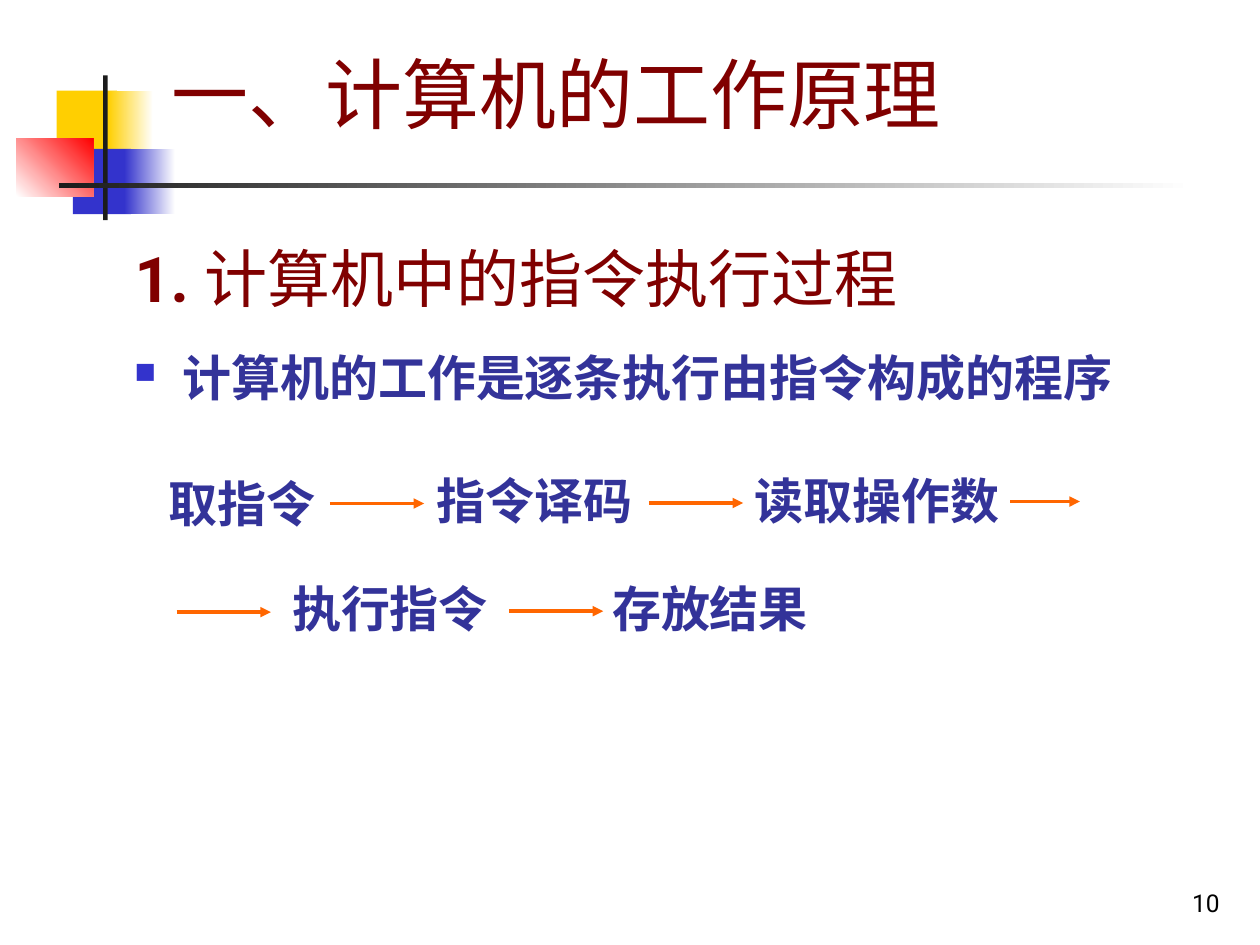
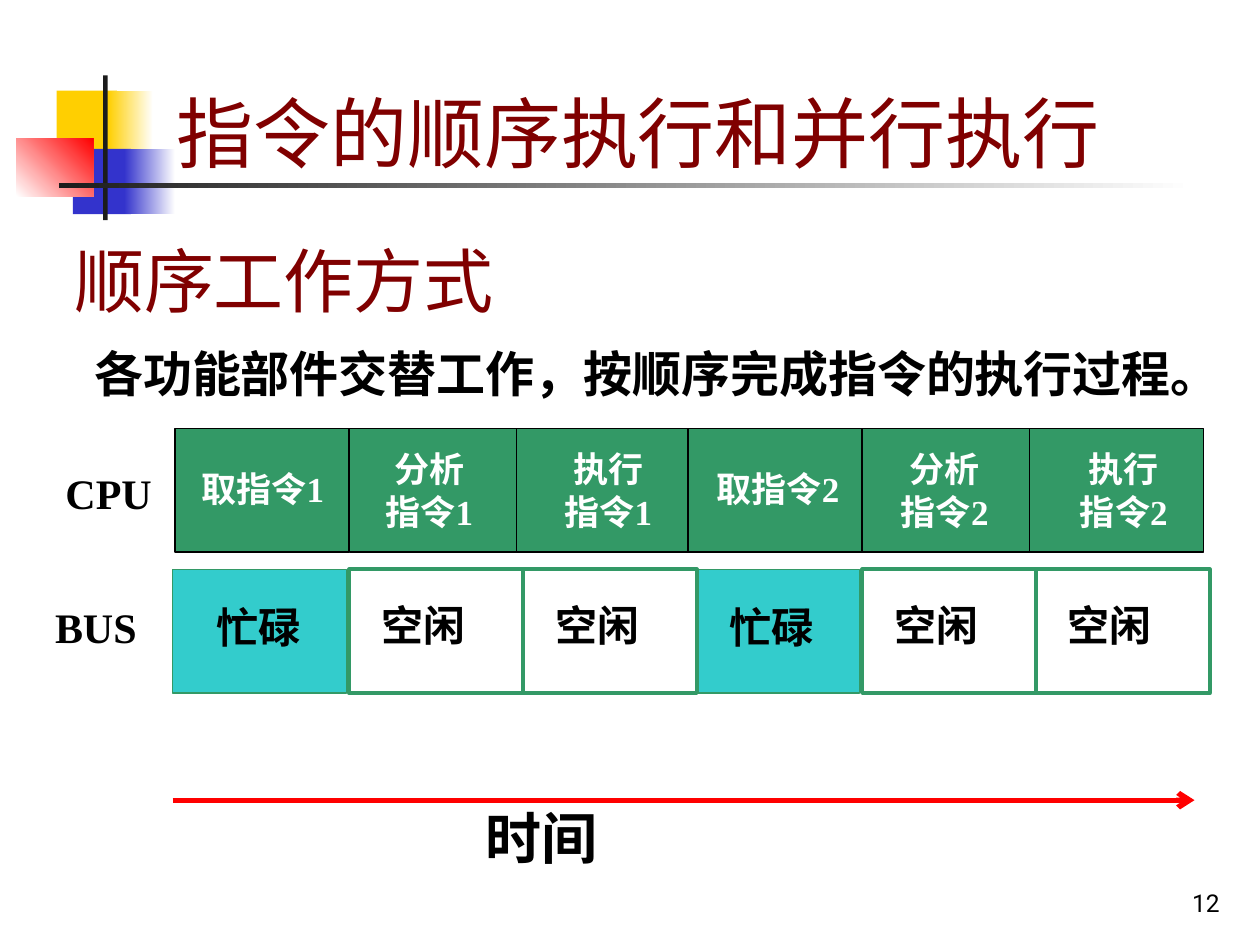
"""Build two slides on how a computer executes its instructions."""

from dataclasses import dataclass
from typing import Optional

from lxml.etree import SubElement
from pptx import Presentation
from pptx.dml.color import RGBColor
from pptx.enum.shapes import MSO_CONNECTOR, MSO_SHAPE
from pptx.enum.text import MSO_ANCHOR, MSO_AUTO_SIZE, PP_ALIGN
from pptx.oxml.ns import qn
from pptx.shapes.autoshape import Shape
from pptx.slide import Slide, SlideLayout
from pptx.util import Cm, Pt


@dataclass(frozen=True)
class Theme:
    """Colours, fonts and type sizes of the deck."""

    maroon: str = "800000"
    navy: str = "333399"
    blue: str = "3333CC"
    yellow: str = "FFCF01"
    red: str = "FF0000"
    orange: str = "FF6600"
    green: str = "339966"
    cyan: str = "33CCCC"
    charcoal: str = "1C1C1C"
    black: str = "000000"
    white: str = "FFFFFF"
    sans: str = "Roboto"
    serif: str = "Times New Roman"
    chinese: str = "Noto Sans CJK SC"
    heading: int = 44
    subheading: int = 40
    numbered: int = 36
    axis: int = 32
    body: int = 28
    unit: int = 24
    stage: int = 20
    footer: int = 14


THEME = Theme()


@dataclass(frozen=True)
class Area:
    """A position and a size in centimetres."""

    left: float
    top: float
    width: float
    height: float

    def moved(self, distance: float) -> "Area":
        """Return the area shifted to the right."""
        return Area(self.left + distance, self.top, self.width, self.height)


@dataclass(frozen=True)
class Style:
    """The look of a piece of text."""

    size: int
    color: str
    font: str = THEME.serif
    bold: bool = True
    align: PP_ALIGN = PP_ALIGN.LEFT
    anchor: MSO_ANCHOR = MSO_ANCHOR.TOP
    line_spacing: float = 1.0
    space_before: int = 0
    margin: float = 0
    bullet: str = ""


@dataclass(frozen=True)
class Block:
    """A rectangle with a plain or fading fill."""

    area: Area
    color: str
    fade_to: Optional[str] = None
    angle: int = 0
    border: Optional[str] = None
    border_width: float = 0.75


@dataclass(frozen=True)
class Arrow:
    """A horizontal arrow in centimetres."""

    left: float
    top: float
    length: float
    color: str = THEME.orange
    weight: float = 2
    head: str = "triangle"


HEADING = Style(THEME.heading, THEME.maroon, THEME.chinese, False, anchor=MSO_ANCHOR.BOTTOM)
SUBHEADING = Style(THEME.subheading, THEME.maroon, THEME.chinese, False, anchor=MSO_ANCHOR.BOTTOM)
NUMBERED = Style(THEME.numbered, THEME.maroon, THEME.sans, False, anchor=MSO_ANCHOR.BOTTOM)
FOOTER = Style(THEME.footer, THEME.black, THEME.sans, False, PP_ALIGN.RIGHT, MSO_ANCHOR.BOTTOM)
BULLET = Style(THEME.body, THEME.navy, THEME.sans, line_spacing=1.1, margin=0.97, bullet="■")
STEP = Style(THEME.body, THEME.navy)
FIRST_STEP = Style(THEME.body, THEME.navy, THEME.chinese, line_spacing=1.1)
EXPLANATION = Style(THEME.body, THEME.black, line_spacing=1.15, margin=1.27)
UNIT = Style(THEME.unit, THEME.black)
FETCH = Style(THEME.stage, THEME.white)
STAGE = Style(THEME.stage, THEME.white, align=PP_ALIGN.CENTER, space_before=1)
AXIS = Style(THEME.axis, THEME.black)

MOTIF = [
    Block(Area(1.14, 1.83, 1.22, 1.32), THEME.yellow),
    Block(Area(2.18, 1.83, 0.91, 1.32), THEME.yellow, THEME.white),
    Block(Area(1.47, 3.0, 1.17, 1.32), THEME.blue),
    Block(Area(2.51, 3.0, 1.02, 1.32), THEME.blue, THEME.white),
    Block(Area(0.33, 2.79, 1.55, 1.17), THEME.white, THEME.red, 45),
    Block(Area(2.08, 1.52, 0.09, 2.92), THEME.charcoal),
    Block(Area(1.19, 3.7, 22.86, 0.09), THEME.charcoal, THEME.white),
]

STEPS = [
    ("取指令", Area(3.15, 9.3, 3.81, 1.6), FIRST_STEP),
    ("指令译码", Area(8.56, 9.37, 4.6, 1.45), STEP),
    ("读取操作数", Area(14.96, 9.37, 5.59, 1.45), STEP),
    ("执行指令", Area(5.64, 11.53, 4.6, 1.45), STEP),
    ("存放结果", Area(12.09, 11.53, 5.38, 1.45), STEP),
]
STEP_ARROWS = [
    Arrow(6.65, 10.15, 1.9),
    Arrow(13.08, 10.14, 1.9),
    Arrow(20.37, 10.11, 1.4),
    Arrow(3.56, 12.34, 1.9),
    Arrow(10.26, 12.32, 1.9),
]

CYCLE = 10.34
LABEL_CYCLE = 10.39
CELL_SIZE = (3.51, 2.49)
CPU_TOP = 8.64
BUS_TOP = 11.48
CPU_LEFTS = (3.53, 7.04, 10.41)
BUSY_LEFT = 3.48
IDLE_LEFTS = (7.04, 10.54)


def set_text(shape: Shape, text: str, style: Style) -> None:
    """Write the text into the shape and style its paragraphs."""
    frame = shape.text_frame
    frame.text = text
    frame.word_wrap = True
    frame.auto_size = MSO_AUTO_SIZE.NONE
    frame.vertical_anchor = style.anchor
    for index, paragraph in enumerate(frame.paragraphs):
        paragraph.alignment = style.align
        paragraph.line_spacing = style.line_spacing
        if index:
            paragraph.space_before = Pt(style.space_before)
    for properties in shape.element.iter(qn("a:pPr")):
        properties.set("marL", str(Cm(style.margin)))
        properties.set("indent", str(Cm(-style.margin if style.bullet else 0)))
        if style.bullet:
            bullet_color = SubElement(properties, qn("a:buClr"))
            SubElement(bullet_color, qn("a:srgbClr"), val=THEME.blue)
            SubElement(properties, qn("a:buSzPct"), val="60000")
            SubElement(properties, qn("a:buChar"), char=style.bullet)
    format_runs(shape, style)


def format_runs(shape: Shape, style: Style) -> None:
    """Give every run of the shape its font."""
    for paragraph in shape.text_frame.paragraphs:
        for run in paragraph.runs:
            run.font.size = Pt(style.size)
            run.font.bold = style.bold
            run.font.name = style.font
            run.font.color.rgb = RGBColor.from_string(style.color)
    for properties in shape.element.iter(qn("a:rPr")):
        if properties.find(qn("a:ea")) is None:
            SubElement(properties, qn("a:ea"), typeface=THEME.chinese)


def in_cm(area: Area) -> tuple[Cm, Cm, Cm, Cm]:
    """Return the area as slide lengths."""
    return Cm(area.left), Cm(area.top), Cm(area.width), Cm(area.height)


def add_text(slide: Slide, text: str, area: Area, style: Style) -> None:
    """Add a text box."""
    set_text(slide.shapes.add_textbox(*in_cm(area)), text, style)


def place_title(slide: Slide, text: str, area: Area, style: Style) -> Shape:
    """Move, fill and format the title placeholder."""
    title = slide.shapes.title
    title.left, title.top, title.width, title.height = in_cm(area)
    set_text(title, text, style)
    return title


def add_block(slide: Slide, block: Block) -> Shape:
    """Add a rectangle."""
    rectangle = slide.shapes.add_shape(MSO_SHAPE.RECTANGLE, *in_cm(block.area))
    rectangle.shadow.inherit = False
    if block.fade_to:
        rectangle.fill.gradient()
        rectangle.fill.gradient_angle = block.angle
        for stop, color in zip(rectangle.fill.gradient_stops, (block.color, block.fade_to)):
            stop.color.rgb = RGBColor.from_string(color)
    else:
        rectangle.fill.solid()
        rectangle.fill.fore_color.rgb = RGBColor.from_string(block.color)
    if block.border:
        rectangle.line.color.rgb = RGBColor.from_string(block.border)
        rectangle.line.width = Pt(block.border_width)
    else:
        rectangle.line.fill.background()
    return rectangle


def add_arrow(slide: Slide, arrow: Arrow) -> None:
    """Add a horizontal line with an arrowhead on its right end."""
    height = Cm(arrow.top)
    connector = slide.shapes.add_connector(
        MSO_CONNECTOR.STRAIGHT, Cm(arrow.left), height, Cm(arrow.left + arrow.length), height
    )
    connector.line.color.rgb = RGBColor.from_string(arrow.color)
    connector.line.width = Pt(arrow.weight)
    properties = connector.element.find(qn("p:spPr"))
    SubElement(properties.find(qn("a:ln")), qn("a:tailEnd"), type=arrow.head)
    SubElement(properties, qn("a:effectLst"))


def decorate_layout(layout: SlideLayout, slide: Slide) -> None:
    """Draw the shared motif and keep it on the layout behind the title."""
    for placeholder in list(layout.placeholders)[1:]:
        layout.shapes.element.remove(placeholder.element)
    for position, block in enumerate(MOTIF, start=2):
        layout.shapes.element.insert(position, add_block(slide, block).element)


def add_frame(slide: Slide, heading: str, area: Area, number: int) -> None:
    """Add the heading and the slide number."""
    add_text(slide, heading, area, HEADING)
    add_text(slide, str(number), Area(19.56, 17.35, 5.28, 1.27), FOOTER)


def build_execution_steps(slide: Slide) -> None:
    """Show the steps of executing one instruction."""
    add_frame(slide, "一、计算机的工作原理", Area(3.2, 0.58, 21.64, 2.34), 10)
    title = place_title(slide, "1. ", Area(2.46, 4.14, 17.12, 2.34), NUMBERED)
    title.text_frame.paragraphs[0].add_run().text = "计算机中的指令执行过程"
    format_runs(title, NUMBERED)
    title.text_frame.paragraphs[0].runs[0].font.bold = True
    add_text(slide, "计算机的工作是逐条执行由指令构成的程序", Area(2.46, 6.76, 21.59, 1.78), BULLET)
    for text, area, style in STEPS:
        add_text(slide, text, area, style)
    for arrow in STEP_ARROWS:
        add_arrow(slide, arrow)


def build_sequential_mode(slide: Slide) -> None:
    """Show processor and bus activity over two instructions."""
    add_frame(slide, "指令的顺序执行和并行执行", Area(3.3, 0.53, 21.41, 3.18), 12)
    place_title(slide, "顺序工作方式", Area(1.24, 4.8, 10.49, 1.8), SUBHEADING)
    add_text(slide, "各功能部件交替工作，按顺序完成指令的执行过程。", Area(0.38, 6.63, 24.69, 1.63), EXPLANATION)
    add_text(slide, "CPU", Area(1.07, 9.3, 2.36, 1.27), UNIT)
    add_text(slide, "BUS", Area(0.86, 12.01, 2.74, 1.27), UNIT)
    shifts = (0, CYCLE)
    for shift in shifts:
        for left in CPU_LEFTS:
            cell = Area(left + shift, CPU_TOP, *CELL_SIZE)
            add_block(slide, Block(cell, THEME.green, border=THEME.black))
    for shift in shifts:
        busy = Area(BUSY_LEFT + shift, BUS_TOP, *CELL_SIZE)
        add_block(slide, Block(busy, THEME.cyan, border=THEME.green))
        add_text(slide, "忙碌", Area(4.11 + shift, 12.01, 2.54, 1.27), UNIT)
    for shift in shifts:
        for left in IDLE_LEFTS:
            idle = Area(left + shift, BUS_TOP, *CELL_SIZE)
            add_block(slide, Block(idle, THEME.white, border=THEME.green, border_width=2.25))
            add_text(slide, "空闲", Area(left + shift + 0.4, 11.96, 2.54, 1.3), UNIT)
    for instruction in (1, 2):
        shift = (instruction - 1) * LABEL_CYCLE
        add_text(slide, f"取指令{instruction}", Area(3.81, 9.3, 3.1, 1.09).moved(shift), FETCH)
        for stage, left in (("分析", 7.26), ("执行", 10.87)):
            area = Area(left, 8.89, 2.79, 1.98).moved(shift)
            add_text(slide, f"{stage}\n指令{instruction}", area, STAGE)
    add_arrow(slide, Arrow(3.48, 16.13, 20.6, THEME.red, 3, "arrow"))
    add_text(slide, "时间", Area(9.53, 16.08, 3.43, 1.63), AXIS)


def main() -> None:
    """Build and save the presentation."""
    deck = Presentation()
    deck.slide_width, deck.slide_height = Cm(25.4), Cm(19.05)
    layout = deck.slide_layouts[5]
    steps, sequential = (deck.slides.add_slide(layout) for _ in range(2))
    decorate_layout(layout, steps)
    build_execution_steps(steps)
    build_sequential_mode(sequential)
    deck.save("out.pptx")


if __name__ == "__main__":
    main()
